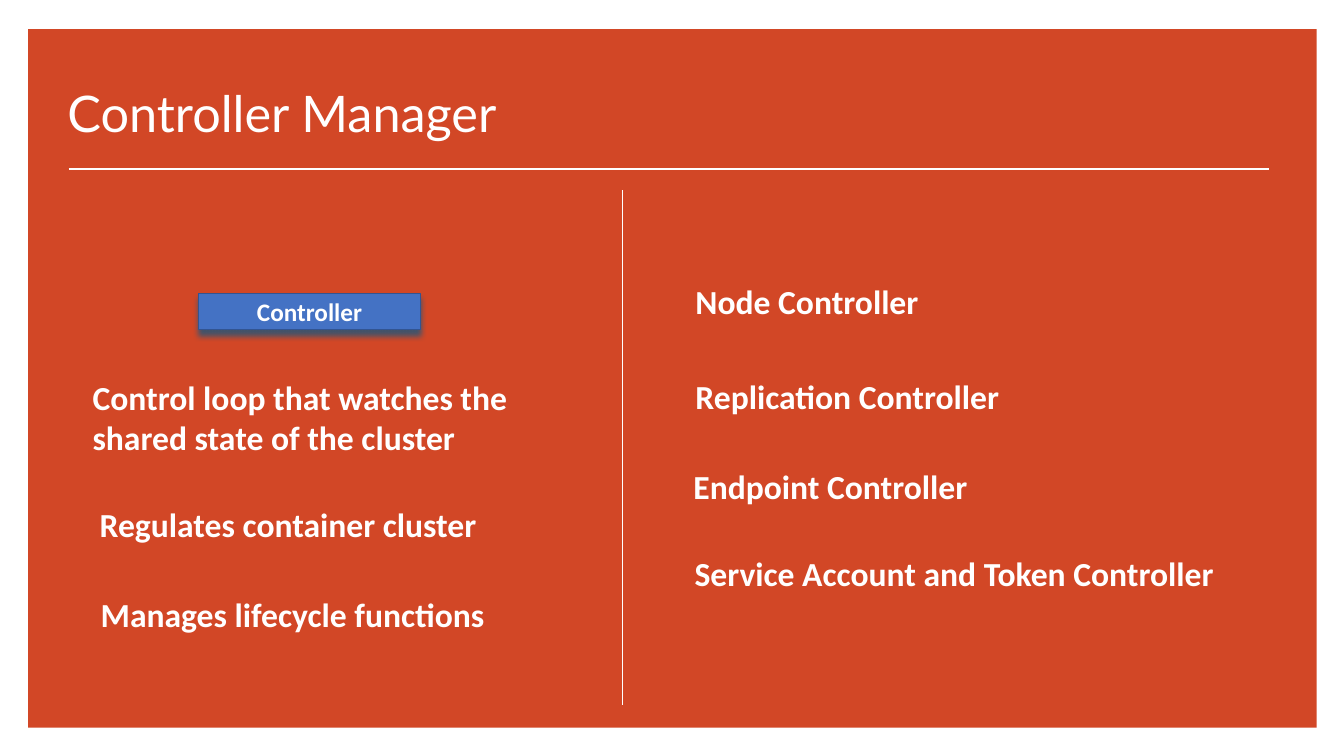
from typing import NamedTuple

from lxml import etree
from pptx import Presentation
from pptx.dml.color import RGBColor
from pptx.enum.shapes import MSO_CONNECTOR, MSO_SHAPE
from pptx.enum.text import MSO_ANCHOR, MSO_AUTO_SIZE, PP_ALIGN
from pptx.oxml.ns import qn
from pptx.shapes.autoshape import Shape
from pptx.slide import Slide
from pptx.util import Inches, Pt

RECT = MSO_SHAPE.RECTANGLE
LINE = MSO_CONNECTOR.STRAIGHT
TOP, MIDDLE, BOTTOM = MSO_ANCHOR.TOP, MSO_ANCHOR.MIDDLE, MSO_ANCHOR.BOTTOM
CENTER = PP_ALIGN.CENTER
GROW = MSO_AUTO_SIZE.SHAPE_TO_FIT_TEXT

COLORS = {
    "panel": "D24726",
    "text": "FFFFFF",
    "badge": "4472C4",
    "edge": "325491",
    "shade": "44546A",
}


class Note(NamedTuple):
    text: str
    left: float
    top: float
    width: float
    height: float = 0.5


class Rule(NamedTuple):
    left: float
    top: float
    right: float
    bottom: float
    weight: float


NOTES = [
    Note("Control loop that watches the shared state of the cluster", 0.82, 3.69, 5.06, 0.91),
    Note("Regulates container cluster", 0.89, 4.95, 5.06),
    Note("Manages lifecycle functions", 0.9, 5.84, 5.06),
    Note("Node Controller", 6.8, 2.74, 5.76),
    Note("Replication Controller", 6.8, 3.68, 5.43),
    Note("Endpoint Controller", 6.78, 4.57, 5.27),
    Note("Service Account and Token Controller", 6.79, 5.44, 6.05),
]

RULES = [
    Rule(0.68, 1.68, 12.59, 1.68, 1.5),
    Rule(6.17, 1.89, 6.17, 6.99, 0.5),
]


def color(name: str) -> RGBColor:
    return RGBColor.from_string(COLORS[name])


def write(shape: Shape, text: str, size: int, font: str = "Calibri",
          bold: bool = True, anchor: MSO_ANCHOR = TOP) -> None:
    frame = shape.text_frame
    frame.text = text
    frame.word_wrap = True
    frame.vertical_anchor = anchor
    style = frame.paragraphs[0].runs[0].font
    style.name = font
    style.size = Pt(size)
    style.bold = bold
    style.color.rgb = color("text")


def add_box(slide: Slide, left: float, top: float, width: float,
            height: float, fill: str) -> Shape:
    box = slide.shapes.add_shape(
        RECT, Inches(left), Inches(top), Inches(width), Inches(height))
    box.fill.solid()
    box.fill.fore_color.rgb = color(fill)
    box.line.fill.background()
    box.shadow.inherit = False
    return box


def add_note(slide: Slide, note: Note) -> Shape:
    return slide.shapes.add_textbox(
        Inches(note.left), Inches(note.top), Inches(note.width), Inches(note.height))


def add_rule(slide: Slide, rule: Rule) -> None:
    line = slide.shapes.add_connector(
        LINE, Inches(rule.left), Inches(rule.top), Inches(rule.right), Inches(rule.bottom))
    line.line.color.rgb = color("text")
    line.line.width = Pt(rule.weight)
    etree.SubElement(line._element.spPr, qn("a:effectLst"))


def add_badge(slide: Slide) -> None:
    badge = add_box(slide, 1.97, 2.91, 2.2, 0.36, "badge")
    badge.line.color.rgb = color("edge")
    badge.line.width = Pt(1)
    write(badge, "Controller", 18, anchor=MIDDLE)
    badge.text_frame.paragraphs[0].alignment = CENTER

    # Shadow falling straight down
    effects = badge._element.spPr.find(qn("a:effectLst"))
    shade = etree.SubElement(
        effects, qn("a:outerShdw"), blurRad=str(Pt(4)), dist=str(Pt(4)),
        dir=str(90 * 60000), algn="t", rotWithShape="0")
    etree.SubElement(shade, qn("a:srgbClr"), val=COLORS["shade"])


def main() -> None:
    deck = Presentation()
    deck.slide_width = Inches(13.33)
    deck.slide_height = Inches(7.5)
    slide = deck.slides.add_slide(deck.slide_layouts[6])

    # Panel and title
    add_box(slide, 0.28, 0.29, 12.78, 6.93, "panel")
    title = Note("Controller Manager", 0.57, 0.76, 7.52, 0.7)
    write(add_note(slide, title), title.text, 36, "Lato", False, BOTTOM)

    # Dividing lines
    for rule in RULES:
        add_rule(slide, rule)

    # Both columns
    add_badge(slide)
    for note in NOTES:
        box = add_note(slide, note)
        write(box, note.text, 24)
        box.text_frame.auto_size = GROW

    deck.save("out.pptx")


if __name__ == "__main__":
    main()
